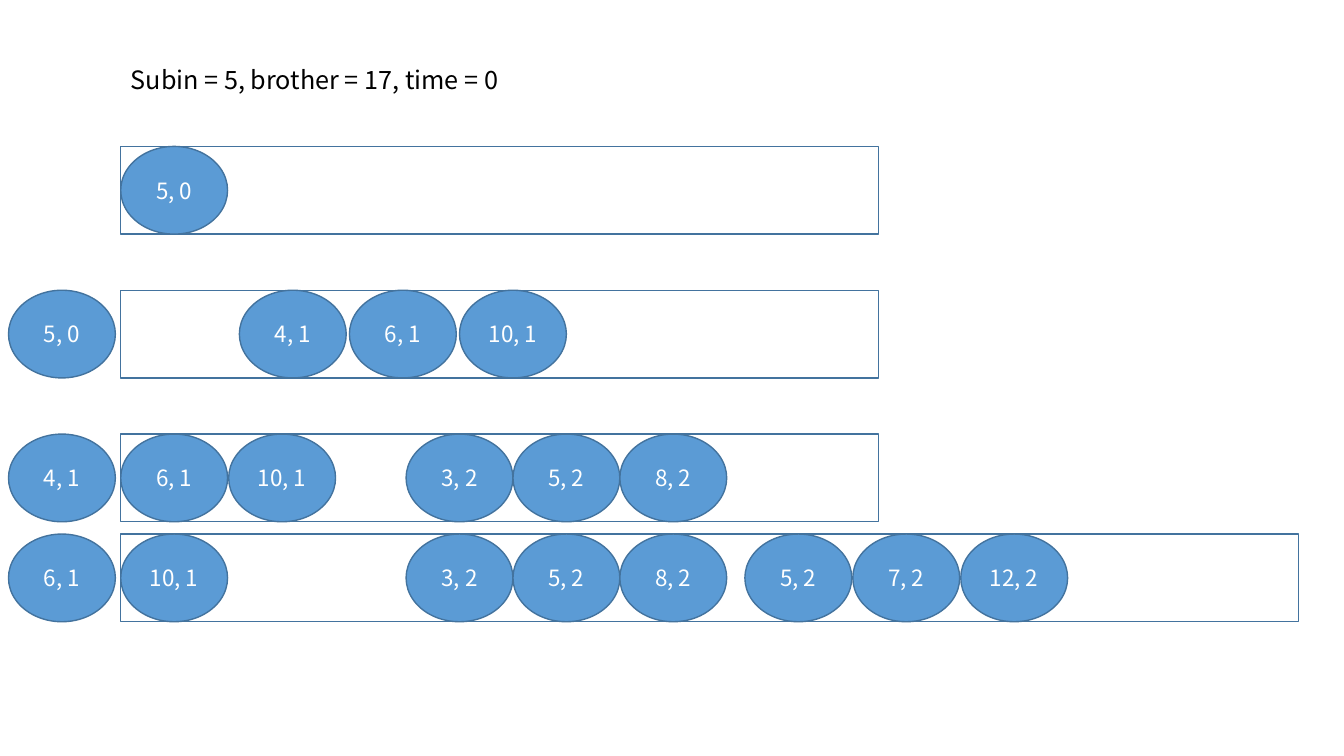
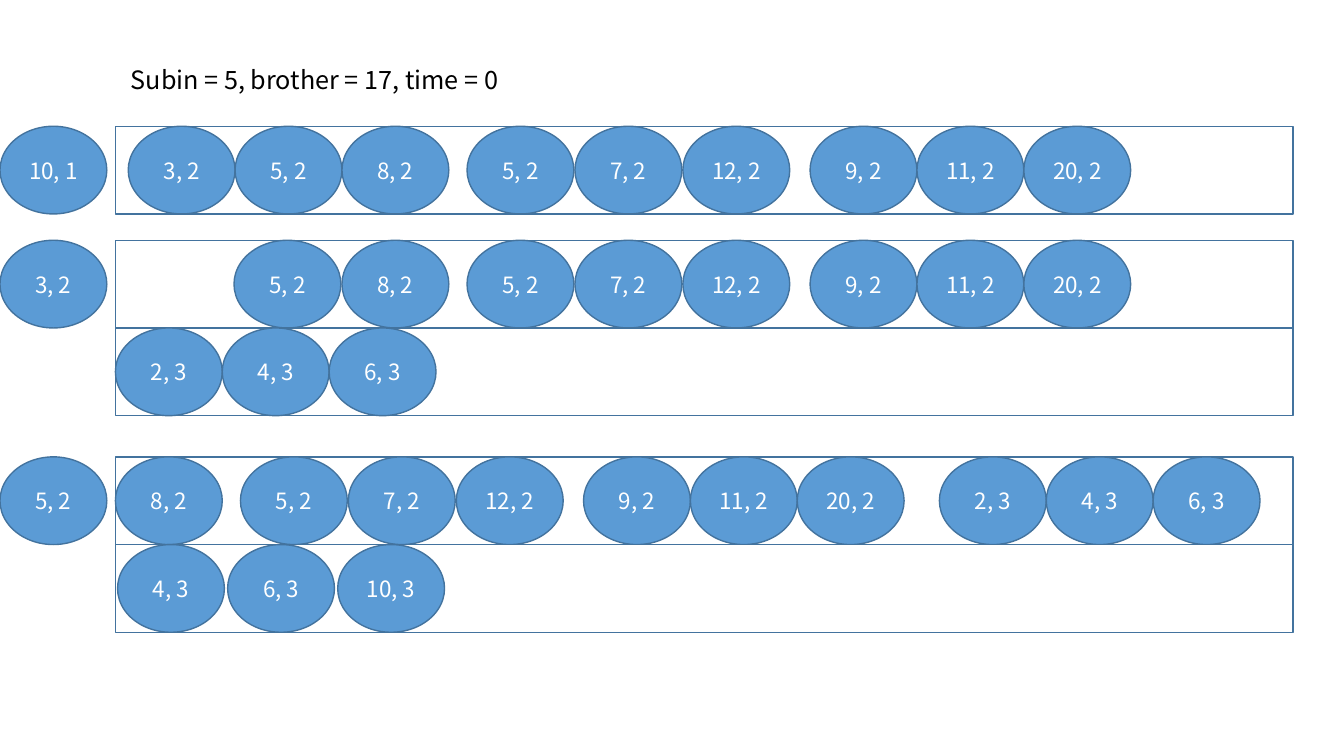
from dataclasses import dataclass

from pptx import Presentation
from pptx.dml.color import RGBColor
from pptx.enum.shapes import MSO_SHAPE
from pptx.enum.text import MSO_ANCHOR, PP_ALIGN
from pptx.util import Inches, Pt

RECTANGLE, ELLIPSE = MSO_SHAPE.RECTANGLE, MSO_SHAPE.OVAL
TOP, MIDDLE = MSO_ANCHOR.TOP, MSO_ANCHOR.MIDDLE
LEFT, CENTER = PP_ALIGN.LEFT, PP_ALIGN.CENTER
TITLE_ONLY = 5

FONT = "Noto Sans CJK KR"
BLACK, WHITE, BLUE, OUTLINE = "000000", "FFFFFF", "5B9BD5", "43739E"
COLUMN, ROW = 1.06, 0.87
TITLE = "Subin = 5, brother = 17, time = 0"
TITLE_BOX = (1.13, 0.68, 5.27, 0.46)
SHORT, LONG = 7.09, 11.02


@dataclass
class Group:
    """Neighbouring nodes and the distance between them in columns."""
    labels: tuple
    pitch: float = 1


@dataclass
class Queue:
    """One lane: its top row, width in columns, node groups and removed node."""
    top: float
    width: float
    groups: list
    removed: str = ""


FROM_FOUR = Group(("3, 2", "5, 2", "8, 2"))
FROM_SIX = Group(("5, 2", "7, 2", "12, 2"), 1.01)
FROM_TEN = Group(("9, 2", "11, 2", "20, 2"))
FROM_THREE = Group(("2, 3", "4, 3", "6, 3"))

FIRST_STEPS = [
    Queue(1.67, SHORT, [(0, Group(("5, 0",)))]),
    Queue(3.31, SHORT, [(1.11, Group(("4, 1", "6, 1", "10, 1"), 1.03))], "5, 0"),
    Queue(4.95, SHORT, [(0, Group(("6, 1", "10, 1"), 1.01)), (2.67, FROM_FOUR)], "4, 1"),
    Queue(6.09, LONG, [(0, Group(("10, 1",))), (2.67, FROM_FOUR), (5.84, FROM_SIX)], "6, 1"),
]
LATER_STEPS = [
    Queue(1.44, LONG, [(0.12, FROM_FOUR), (3.29, FROM_SIX), (6.5, FROM_TEN)], "10, 1"),
    Queue(2.74, LONG, [(1.11, Group(("5, 2", "8, 2"), 1.01)), (3.29, FROM_SIX),
                       (6.5, FROM_TEN)], "3, 2"),
    Queue(3.74, LONG, [(0, FROM_THREE)]),
    Queue(5.21, LONG, [(0, Group(("8, 2",))), (1.17, FROM_SIX), (4.38, FROM_TEN),
                       (7.71, FROM_THREE)], "5, 2"),
    Queue(6.21, LONG, [(0.02, Group(("4, 3", "6, 3", "10, 3"), 1.03))]),
]


def color(value):
    """Turn a hex string into a colour."""
    return RGBColor.from_string(value)


def grid(left, top, width, height):
    """Turn columns and rows into slide lengths."""
    return (Inches(left * COLUMN), Inches(top * ROW),
            Inches(width * COLUMN), Inches(height * ROW))


def write(shape, text, size, ink, align, anchor):
    """Put one formatted line of text into a shape."""
    frame = shape.text_frame
    frame.word_wrap = True
    frame.vertical_anchor = anchor
    para = frame.paragraphs[0]
    para.alignment = align
    span = para.add_run()
    span.text = text
    span.font.name = FONT
    span.font.size = Pt(size)
    span.font.color.rgb = color(ink)


def add_outlined(page, kind, box, fill):
    """Add a filled preset shape with the shared outline."""
    shape = page.shapes.add_shape(kind, *grid(*box))
    shape.shadow.inherit = False
    shape.fill.solid()
    shape.fill.fore_color.rgb = color(fill)
    shape.line.color.rgb = color(OUTLINE)
    shape.line.width = Pt(1)
    return shape


def add_node(page, left, top, label):
    """Add a node that fills one grid cell."""
    node = add_outlined(page, ELLIPSE, (left, top, 1, 1), BLUE)
    write(node, label, size=16, ink=WHITE, align=CENTER, anchor=MIDDLE)


def add_queue(page, left, removed_left, queue):
    """Draw a lane with its nodes and the node taken out of it."""
    add_outlined(page, RECTANGLE, (left, queue.top, queue.width, 1), WHITE)
    if queue.removed:
        add_node(page, removed_left, queue.top, queue.removed)
    for offset, group in queue.groups:
        for index, label in enumerate(group.labels):
            add_node(page, left + offset + index * group.pitch, queue.top, label)


def add_page(deck, left, removed_left, queues):
    """Add a titled slide holding a stack of queues."""
    page = deck.slides.add_slide(deck.slide_layouts[TITLE_ONLY])
    title = page.shapes.title
    title.left, title.top, title.width, title.height = grid(*TITLE_BOX)
    write(title, TITLE, size=18, ink=BLACK, align=LEFT, anchor=TOP)
    for queue in queues:
        add_queue(page, left, removed_left, queue)


def main():
    """Build and save the deck."""
    deck = Presentation()
    deck.slide_width, deck.slide_height = Inches(13.33), Inches(7.5)
    add_page(deck, 1.13, 0.08, FIRST_STEPS)
    add_page(deck, 1.08, 0, LATER_STEPS)
    deck.save("out.pptx")


if __name__ == "__main__":
    main()
